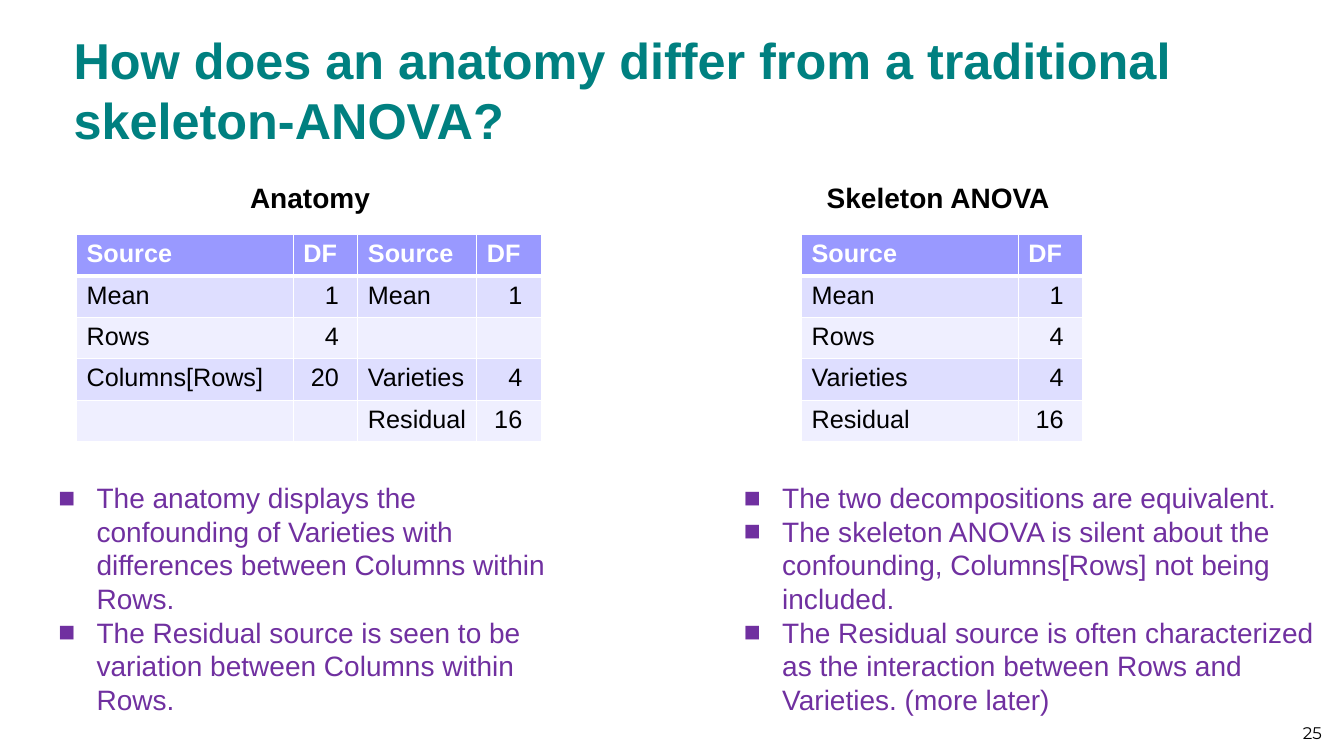
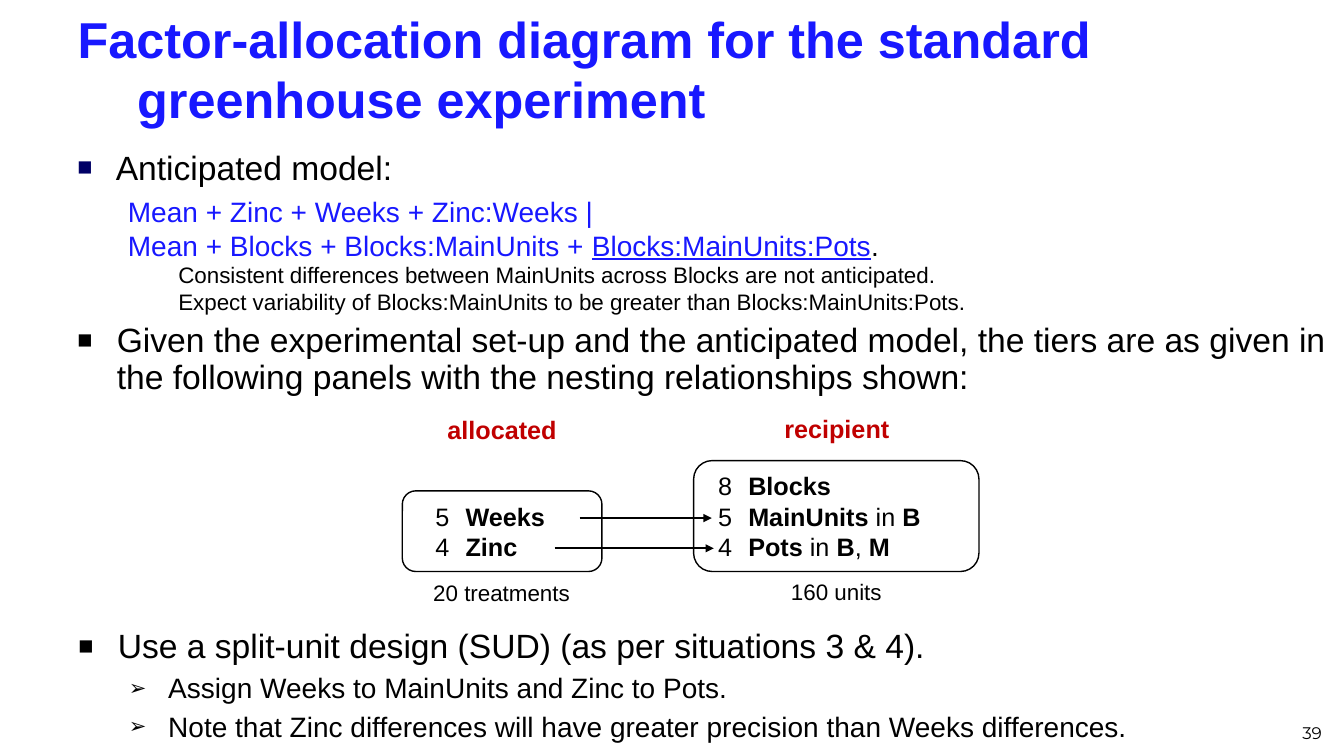
import lxml.etree
import pptx
import pptx.dml.color
import pptx.enum.shapes
import pptx.enum.text
import pptx.oxml.ns
import pptx.util

Inches = pptx.util.Inches
Pt = pptx.util.Pt
RGBColor = pptx.dml.color.RGBColor
PP_ALIGN = pptx.enum.text.PP_ALIGN
MSO_ANCHOR = pptx.enum.text.MSO_ANCHOR
qn = pptx.oxml.ns.qn
SubElement = lxml.etree.SubElement

BLACK = RGBColor(0x00, 0x00, 0x00)
WHITE = RGBColor(0xFF, 0xFF, 0xFF)
TEAL = RGBColor(0x00, 0x80, 0x80)
BLUE = RGBColor(0x18, 0x18, 0xFF)
NAVY = RGBColor(0x00, 0x00, 0x66)
PURPLE = RGBColor(0x70, 0x30, 0xA0)
RED = RGBColor(0xC0, 0x00, 0x00)
HEADER_FILL = RGBColor(0x99, 0x99, 0xFF)
BAND_FILLS = [RGBColor(0xEF, 0xEF, 0xFF), RGBColor(0xDE, 0xDE, 0xFF)]


def style(paragraph, size, color=BLACK, bold=False, align=PP_ALIGN.LEFT, left=0, first=0,
          bullet=None, bullet_color=None, bullet_percent=100):
    """Set indents (in inches), bullet and font of a paragraph."""
    properties = paragraph._p.get_or_add_pPr()
    if left:
        properties.set("marL", str(Inches(left)))
        properties.set("indent", str(Inches(first)))
    if bullet:
        if bullet_color is not None:
            SubElement(SubElement(properties, qn("a:buClr")), qn("a:srgbClr"), val=str(bullet_color))
        SubElement(properties, qn("a:buSzPct"), val=str(bullet_percent * 1000))
        SubElement(properties, qn("a:buFont"), typeface="Arial")
        SubElement(properties, qn("a:buChar"), char=bullet)
    paragraph.alignment = align
    paragraph.font.name = "Arial"
    paragraph.font.size = Pt(size)
    paragraph.font.bold = bold
    paragraph.font.color.rgb = color


def add_text(slide, box, lines, anchor=MSO_ANCHOR.TOP):
    """Add a wrapping text box and return its paragraphs, one per line."""
    text_frame = slide.shapes.add_textbox(*map(Inches, box)).text_frame
    text_frame.word_wrap = True
    text_frame.vertical_anchor = anchor
    text_frame.text = "\n".join(lines)
    return text_frame.paragraphs


presentation = pptx.Presentation()
presentation.slide_width = Inches(13.33)
presentation.slide_height = Inches(7.5)

# Title and page number of each slide
slides = []
for title_text, title_box, title_color, hanging, number in [
    ("How does an anatomy differ from a traditional skeleton-ANOVA?",
     (0.63, 0.23, 12.6, 1.31), TEAL, 0, "25"),
    ("Factor-allocation diagram for the standard greenhouse experiment",
     (0.67, 0.13, 12, 1.1), BLUE, 0.59, "39"),
]:
    slide = presentation.slides.add_slide(presentation.slide_layouts[5])
    title = slide.shapes.title
    title.left, title.top, title.width, title.height = map(Inches, title_box)
    title.text_frame.text = title_text
    title.text_frame.auto_size = pptx.enum.text.MSO_AUTO_SIZE.NONE
    title.text_frame.vertical_anchor = MSO_ANCHOR.MIDDLE
    style(title.text_frame.paragraphs[0], 36, title_color, True, left=hanging, first=-hanging)
    page_number = add_text(slide, (10.1, 6.92, 3.11, 0.5), [number], MSO_ANCHOR.BOTTOM)[0]
    style(page_number, 12, align=PP_ALIGN.RIGHT)
    page_number.font.name = "Montserrat"
    slides.append(slide)
comparison_slide, diagram_slide = slides

# Anatomy and skeleton ANOVA: heading, table and remarks
ROW_HEIGHT = 0.41
for heading, heading_left, table_left, widths, rows, remarks_box, remarks in [
    ("Anatomy", 1.52, 0.76, [2.15, 0.64, 1.18, 0.64],
     [["Source", "DF", "Source", "DF"],
      ["Mean", "1", "Mean", "1"],
      ["Rows", "4", "", ""],
      ["Columns[Rows]", "20", "Varieties", "4"],
      ["", "", "Residual", "16"]],
     (0.48, 4.72, 5.33, 2.12),
     ["The anatomy displays the confounding of Varieties with differences between Columns within Rows.",
      "The Residual source is seen to be variation between Columns within Rows."]),
    ("Skeleton ANOVA", 7.75, 7.95, [2.15, 0.64],
     [["Source", "DF"],
      ["Mean", "1"],
      ["Rows", "4"],
      ["Varieties", "4"],
      ["Residual", "16"]],
     (7.28, 4.72, 5.94, 2.46),
     ["The two decompositions are equivalent.",
      "The skeleton ANOVA is silent about the confounding, Columns[Rows] not being included.",
      "The Residual source is often characterized as the interaction between Rows and Varieties. (more later)"]),
]:
    heading_paragraph = add_text(comparison_slide, (heading_left, 1.74, 3.11, 0.44), [heading])[0]
    style(heading_paragraph, 20, bold=True, align=PP_ALIGN.CENTER)

    table = comparison_slide.shapes.add_table(
        len(rows), len(widths), Inches(table_left), Inches(2.33),
        Inches(sum(widths)), Inches(ROW_HEIGHT * len(rows))).table
    for column, width in zip(table.columns, widths):
        column.width = Inches(width)
    for row_index, row in enumerate(rows):
        is_header = row_index == 0
        table.rows[row_index].height = Inches(ROW_HEIGHT)
        for column_index, value in enumerate(row):
            cell = table.cell(row_index, column_index)
            cell_properties = cell._tc.get_or_add_tcPr()
            for side in ("lnL", "lnR", "lnT", "lnB"):
                below_header = (row_index, side) in [(0, "lnB"), (1, "lnT")]
                border = SubElement(cell_properties, qn("a:" + side),
                                    w=str(Pt(3 if below_header else 1)))
                SubElement(SubElement(border, qn("a:solidFill")), qn("a:srgbClr"), val=str(WHITE))
            cell.fill.solid()
            cell.fill.fore_color.rgb = HEADER_FILL if is_header else BAND_FILLS[row_index % 2]
            cell.text = value
            is_number = value.isdigit()
            if is_number:
                cell.margin_right = Inches(0.19)
            style(cell.text_frame.paragraphs[0], 18, WHITE if is_header else BLACK, is_header,
                  PP_ALIGN.RIGHT if is_number else PP_ALIGN.LEFT)

    for paragraph in add_text(comparison_slide, remarks_box, remarks):
        style(paragraph, 20, PURPLE, left=0.38, first=-0.38, bullet="■")

# Anticipated model
model, formula, *notes, tiers = add_text(diagram_slide, (0.67, 1.41, 12.65, 2.85), [
    "Anticipated model:",
    "",
    "Consistent differences between MainUnits across Blocks are not anticipated.",
    "Expect variability of Blocks:MainUnits to be greater than Blocks:MainUnits:Pots.",
    "Given the experimental set-up and the anticipated model, the tiers are as given in "
    "the following panels with the nesting relationships shown:",
])
style(model, 24, left=0.38, first=-0.38, bullet="■", bullet_color=NAVY, bullet_percent=75)
formula.level = 1
style(formula, 20, BLUE, left=0.5)
formula.space_before = Pt(5)
formula.add_run().text = "Mean + Zinc + Weeks + Zinc:Weeks |"
formula.add_line_break()
formula.add_run().text = "Mean + Blocks + Blocks:MainUnits + "
underlined = formula.add_run()
underlined.text = "Blocks:MainUnits:Pots"
underlined.font.underline = True
full_stop = formula.add_run()
full_stop.text = "."
full_stop.font.color.rgb = BLACK
for note in notes:
    note.level = 2
    style(note, 16, left=1)

# Design to use
design, *assignments = add_text(diagram_slide, (0.68, 6.2, 12.65, 1.28), [
    "Use a split-unit design (SUD) (as per situations 3 & 4).",
    "Assign Weeks to MainUnits and Zinc to Pots.",
    "Note that Zinc differences will have greater precision than Weeks differences.",
])
for paragraph in (tiers, design):
    style(paragraph, 24, left=0.39, first=-0.39, bullet="■", bullet_color=BLACK, bullet_percent=75)
for paragraph in assignments:
    paragraph.level = 1
    style(paragraph, 20, left=0.89, first=-0.39, bullet="➢", bullet_color=BLACK, bullet_percent=75)
for paragraph in (tiers, design, *assignments):
    paragraph.line_spacing = 0.9
for paragraph in (tiers, *assignments):
    paragraph.space_before = Pt(6)

# Factor panels; each factor is a list of runs, bold ones marked True
for panel_box, indent, factors, label, label_box, caption, caption_box in [
    ((3.99, 4.87, 1.98, 0.8), 0.49,
     [[("5\t", False), ("Weeks", True)],
      [("4\t", False), ("Zinc", True)]],
     "allocated", (4.25, 4.06, 1.46, 0.4), "20 treatments", (4.06, 5.7, 1.83, 0.37)),
    ((6.88, 4.57, 2.83, 1.1), 0.39,
     [[("8\t", False), ("Blocks", True)],
      [("5\t", False), ("MainUnits", True), (" in ", False), ("B", True)],
      [("4\t", False), ("Pots", True), (" in ", False), ("B", True), (", ", False), ("M", True)]],
     "recipient", (7.66, 4.05, 1.28, 0.4), "160 units", (7.38, 5.69, 1.83, 0.37)),
]:
    panel = diagram_slide.shapes.add_shape(
        pptx.enum.shapes.MSO_SHAPE.ROUNDED_RECTANGLE, *map(Inches, panel_box))
    panel.shadow.inherit = False
    panel.fill.background()
    panel.line.color.rgb = BLACK
    panel.line.width = Pt(1)
    text_frame = panel.text_frame
    text_frame.word_wrap = True
    text_frame.vertical_anchor = MSO_ANCHOR.MIDDLE
    for index, runs in enumerate(factors):
        paragraph = text_frame.add_paragraph() if index else text_frame.paragraphs[0]
        style(paragraph, 18, left=indent, first=-0.3)
        for text, bold in runs:
            run = paragraph.add_run()
            run.text = text
            run.font.bold = bold
    style(add_text(diagram_slide, label_box, [label])[0], 18, RED, True, PP_ALIGN.CENTER)
    style(add_text(diagram_slide, caption_box, [caption])[0], 16, align=PP_ALIGN.CENTER)

# Allocation arrows
for start_x, end_x, y in [(5.75, 7.06, 5.14), (5.5, 7.08, 5.44)]:
    arrow = diagram_slide.shapes.add_connector(
        pptx.enum.shapes.MSO_CONNECTOR.STRAIGHT, Inches(start_x), Inches(y), Inches(end_x), Inches(y))
    arrow.line.color.rgb = BLACK
    arrow.line.width = Pt(1.5)
    arrow_properties = arrow._element.spPr
    SubElement(arrow_properties.find(qn("a:ln")), qn("a:tailEnd"), type="triangle")
    SubElement(arrow_properties, qn("a:effectLst"))

presentation.save("out.pptx")
